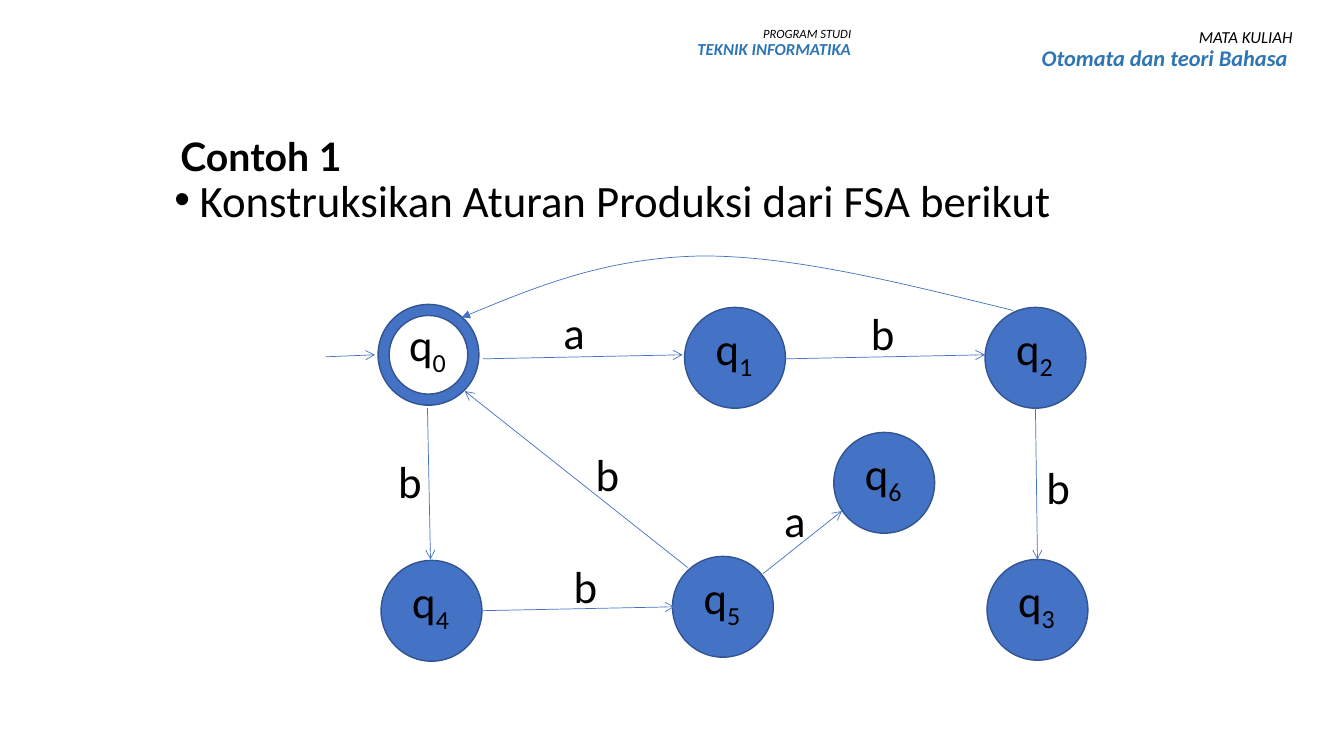
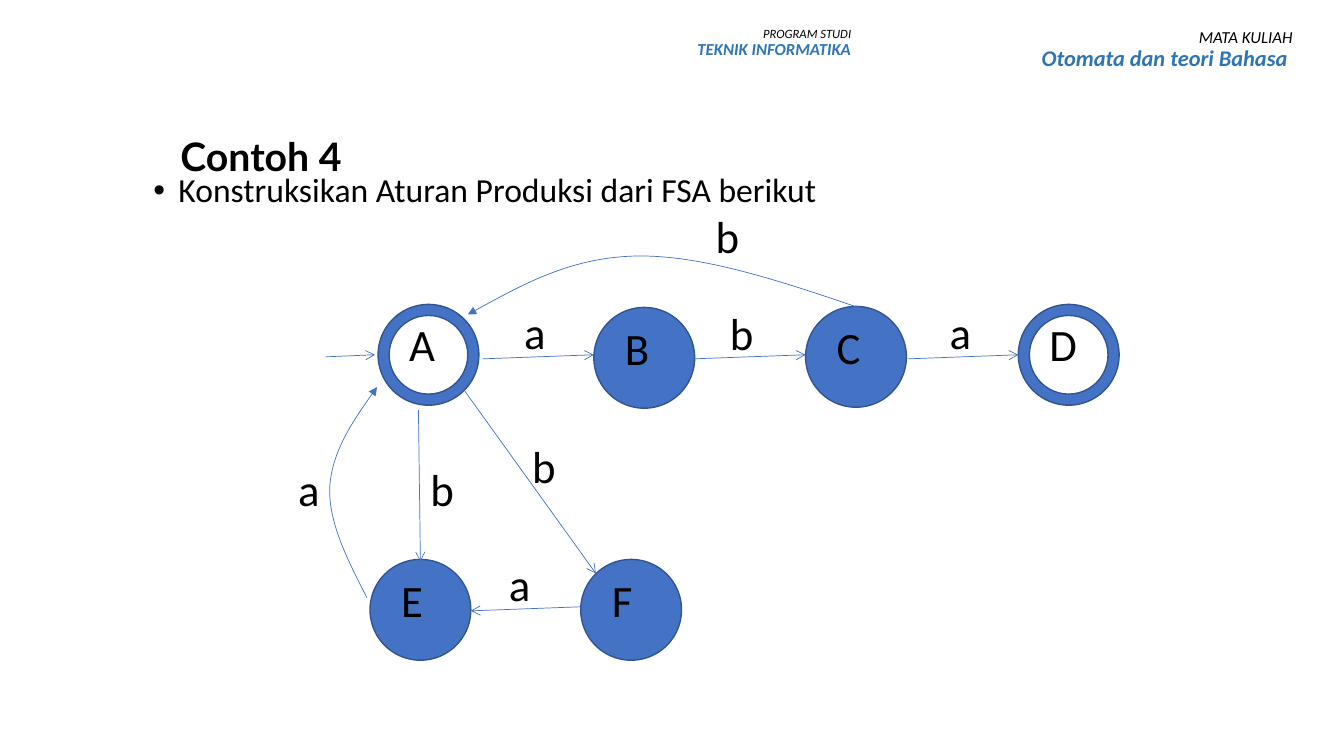
import dataclasses
import lxml.etree
import pptx
import pptx.dml.color
import pptx.enum.shapes
import pptx.enum.text
import pptx.oxml.ns
import pptx.util

Inches = pptx.util.Inches
qn = pptx.oxml.ns.qn
Align = pptx.enum.text.PP_ALIGN
Anchor = pptx.enum.text.MSO_ANCHOR
Shape = pptx.enum.shapes.MSO_SHAPE


@dataclasses.dataclass(frozen=True)
class Theme:
    ink: str = "000000"
    blue: str = "4472C4"
    edge: str = "325491"
    head: str = "2E75B6"
    font: str = "Calibri"
    bold: str = "Lato"
    title: int = 28
    mark: int = 32
    thin: float = 0.5
    rim: float = 1


THEME = Theme()


# Shared helpers
def tint(code):
    return pptx.dml.color.RGBColor.from_string(code)


def style(para, size, color=THEME.ink, font=THEME.font, bold=False, slant=False):
    for run in para.runs:
        face = run.font
        face.name, face.size = font, pptx.util.Pt(size)
        face.bold, face.italic = bold, slant
        face.color.rgb = tint(color)


def place(shape, box):
    shape.left, shape.top, shape.width, shape.height = map(Inches, box)


def write(shapes, box):
    frame = shapes.add_textbox(*map(Inches, box)).text_frame
    frame.word_wrap = True
    return frame


def stroke(shape, tip):
    shape.line.color.rgb = tint(THEME.blue)
    shape.line.width = pptx.util.Pt(THEME.thin)
    line = shape.element.spPr.find(qn("a:ln"))
    lxml.etree.SubElement(line, qn("a:tailEnd"), type=tip)


# Header: small line above a bold blue line
def header(slide, box, lines, sizes):
    frame = write(slide.shapes, box)
    frame.text = "\n".join(lines)
    looks = ((THEME.ink, False), (THEME.head, True))
    for para, size, (color, bold) in zip(frame.paragraphs, sizes, looks):
        para.alignment = Align.RIGHT
        para.line_spacing = 0.9
        style(para, size, color, bold=bold, slant=True)


# Title and bullet placeholders
def title(slide, box, text):
    shape = slide.shapes.title
    place(shape, box)
    frame = shape.text_frame
    frame.text = text
    frame.auto_size = pptx.enum.text.MSO_AUTO_SIZE.NONE
    frame.vertical_anchor = Anchor.MIDDLE
    para = frame.paragraphs[0]
    para.alignment = Align.LEFT
    para.line_spacing = 0.9
    style(para, THEME.title, font=THEME.bold, bold=True)


def task(slide, box, text, size):
    shape = slide.placeholders[1]
    place(shape, box)
    frame = shape.text_frame
    frame.text = text
    frame.auto_size = pptx.enum.text.MSO_AUTO_SIZE.NONE
    frame.vertical_anchor = Anchor.TOP
    para = frame.paragraphs[0]
    para.space_before = pptx.util.Pt(0)
    props = para._p.get_or_add_pPr()
    props.set("marL", str(Inches(0.25)))
    props.set("indent", str(Inches(-0.25)))
    lxml.etree.SubElement(props, qn("a:buFont"), typeface="Arial")
    lxml.etree.SubElement(props, qn("a:buChar"), char="•")
    style(para, size)


# Diagram parts
def state(slide, left, top, name, final):
    shapes = slide.shapes.add_group_shape().shapes
    kind = Shape.DONUT if final else Shape.OVAL
    ring = shapes.add_shape(kind, *map(Inches, (left, top, 1, 1)))
    if final:
        ring.adjustments[0] = 0.11
    ring.shadow.inherit = False
    ring.fill.solid()
    ring.fill.fore_color.rgb = tint(THEME.blue)
    ring.line.color.rgb = tint(THEME.edge)
    ring.line.width = pptx.util.Pt(THEME.rim)
    drop = 0.07 if final else 0.08
    frame = write(shapes, (left + 0.21, top + drop, 0.6, 0.64))
    frame.text = name[0]
    para = frame.paragraphs[0]
    if name[1:]:
        sub = para.add_run()
        sub.text = name[1:]
        sub.font._element.set("baseline", "-25000")
    style(para, THEME.mark)


def label(slide, left, top, text):
    frame = write(slide.shapes, (left, top, 0.44, 0.64))
    frame.text = text
    style(frame.paragraphs[0], THEME.mark)


def arrow(slide, start, end):
    kind = pptx.enum.shapes.MSO_CONNECTOR.STRAIGHT
    link = slide.shapes.add_connector(kind, *map(Inches, (*start, *end)))
    stroke(link, "arrow")
    lxml.etree.SubElement(link.element.spPr, qn("a:effectLst"))


def curve(slide, points):
    first, *rest = [tuple(map(Inches, point)) for point in points]
    pen = slide.shapes.build_freeform(*first)
    pen.add_line_segments(rest, close=False)
    shape = pen.convert_to_shape()
    shape.shadow.inherit = False
    shape.fill.background()
    stroke(shape, "triangle")
    # Each three points become one cubic segment
    track = next(shape.element.iter(qn("a:path")))
    steps = track.findall(qn("a:lnTo"))
    for at in range(0, len(steps), 3):
        bend = lxml.etree.SubElement(track, qn("a:cubicBezTo"))
        for step in steps[at:at + 3]:
            bend.append(step[0])
            track.remove(step)


def graph(slide, box, data):
    left, top = box[:2]

    def move(point):
        return left + point[0], top + point[1]

    for x, y, name, final in data["states"]:
        state(slide, *move((x, y)), name, final)
    for start, end in data["arrows"]:
        arrow(slide, move(start), move(end))
    for points in data["curves"]:
        curve(slide, [move(point) for point in points])
    for x, y, text in data["labels"]:
        label(slide, *move((x, y)), text)


# One example slide
def example(deck, name, box, size, data):
    slide = deck.slides.add_slide(deck.slide_layouts[1])
    title(slide, (1.69, 1.13, 10.66, 0.89), name)
    task(slide, box, "Konstruksikan Aturan Produksi dari FSA berikut", size)
    graph(slide, (2, 2, 9.5, 5), data)
    header(slide, (9.16, 0.24, 3.76, 0.74),
           ("MATA KULIAH", "Otomata dan teori Bahasa "), (12, 16))
    header(slide, (6.03, 0.22, 2.51, 0.56),
           ("PROGRAM STUDI", "TEKNIK INFORMATIKA"), (9, 12))


# Diagram data, in inches from the corner of the diagram box
ENTRY = ((1.23, 1.54), (1.72, 1.52))

FIRST = {
    "states": (
        (1.75, 1.02, "q0", True), (4.79, 1.05, "q1", False),
        (7.77, 1.05, "q2", False), (7.79, 3.55, "q3", False),
        (1.78, 3.56, "q4", False), (4.67, 3.52, "q5", False),
        (6.27, 2.29, "q6", False),
    ),
    "arrows": (
        ENTRY,
        ((2.79, 1.56), (4.77, 1.52)), ((5.79, 1.56), (7.77, 1.52)),
        ((8.27, 2.05), (8.29, 3.55)), ((2.24, 2.05), (2.27, 3.55)),
        ((2.71, 4.06), (4.69, 4.02)), ((5.57, 3.69), (6.35, 3.07)),
        ((4.82, 3.63), (2.61, 1.88)),
    ),
    "curves": (
        ((8.05, 1.08), (6.95, 0.81), (5.85, 0.53), (4.94, 0.54),
         (4.02, 0.56), (3.3, 0.85), (2.58, 1.15)),
    ),
    "labels": (
        (3.49, 0.97, "a"), (6.54, 0.98, "b"), (8.28, 2.51, "b"),
        (1.85, 2.45, "b"), (3.59, 3.49, "b"), (5.68, 2.84, "a"),
        (3.81, 2.38, "b"),
    ),
}

FOURTH = {
    "states": (
        (1.75, 1.02, "A", True), (3.89, 1.05, "B", False),
        (5.99, 1.04, "C", False), (8.1, 1.02, "D", True),
        (1.67, 3.55, "E", False), (3.76, 3.55, "F", False),
    ),
    "arrows": (
        ENTRY,
        ((2.79, 1.56), (3.89, 1.52)), ((4.88, 1.56), (5.99, 1.52)),
        ((7.01, 1.56), (8.1, 1.52)), ((2.15, 2.07), (2.17, 3.57)),
        ((3.76, 4.02), (2.67, 4.06)), ((2.61, 1.88), (3.91, 3.69)),
    ),
    "curves": (
        ((6.54, 1.06), (5.75, 0.79), (4.97, 0.53), (4.32, 0.54),
         (3.67, 0.55), (3.15, 0.84), (2.64, 1.12)),
        ((1.64, 3.93), (1.45, 3.56), (1.26, 3.19), (1.27, 2.84),
         (1.29, 2.49), (1.51, 2.16), (1.74, 1.84)),
    ),
    "labels": (
        (3.1, 0.97, "a"), (5.14, 0.98, "b"), (7.32, 0.97, "a"),
        (5, 0.02, "b"), (2.17, 2.53, "b"), (0.86, 2.53, "a"),
        (3.18, 2.3, "b"), (2.95, 3.47, "a"),
    ),
}


def main():
    deck = pptx.Presentation()
    deck.slide_width, deck.slide_height = Inches(13.33), Inches(7.5)
    example(deck, "Contoh 1", (1.63, 1.66, 10.71, 0.64), 32, FIRST)
    example(deck, "Contoh 4", (1.42, 1.63, 10.92, 3.85), 24, FOURTH)
    deck.save("out.pptx")


if __name__ == "__main__":
    main()
